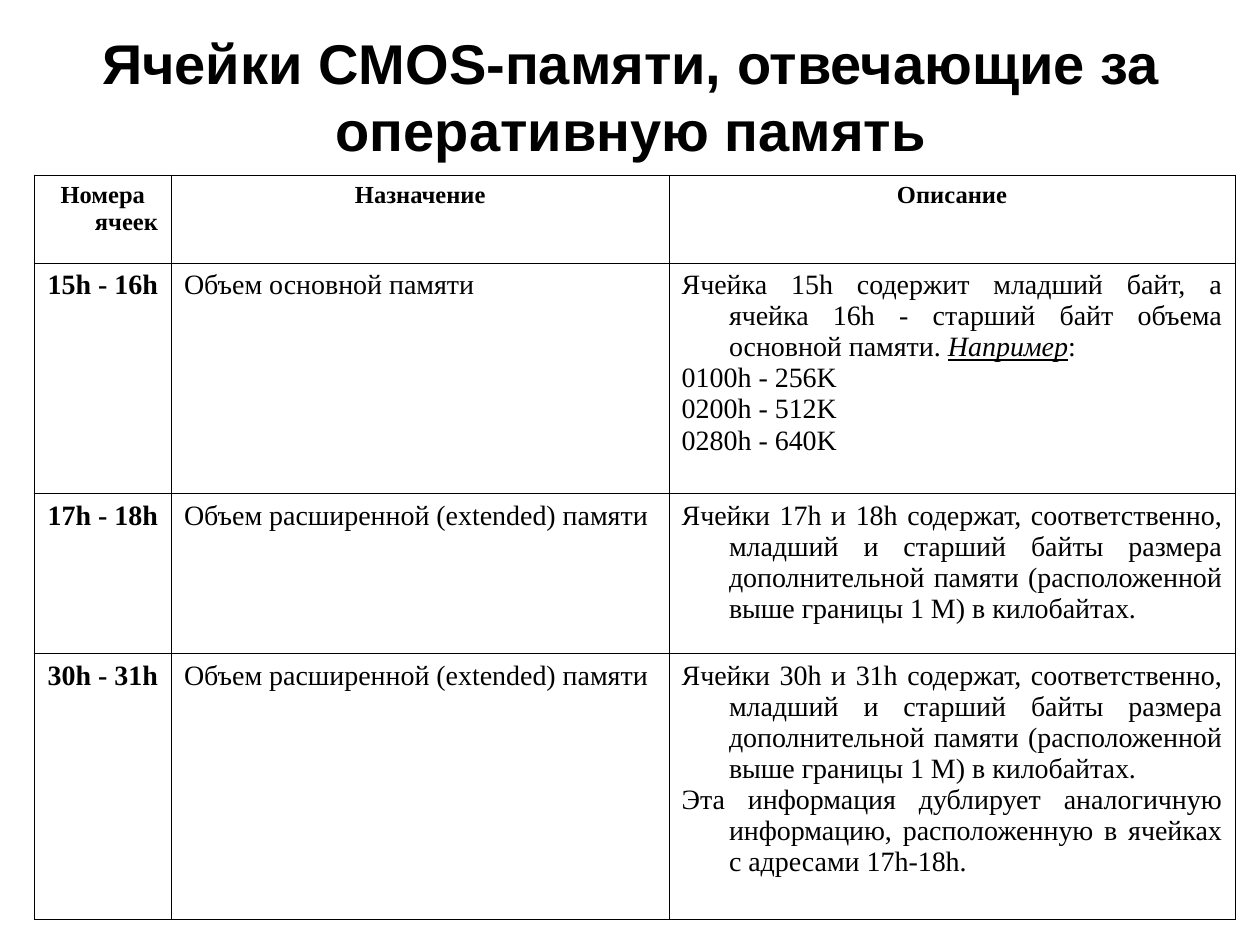
"""Build a slide with a table of the CMOS cells that describe memory."""
import dataclasses
import typing

import lxml.etree
import pptx
import pptx.dml.color
import pptx.enum.text
import pptx.oxml.ns
import pptx.util

Pt = pptx.util.Pt
Align = pptx.enum.text.PP_ALIGN


@dataclasses.dataclass(frozen=True)
class Theme:
    ink: str = "000000"
    title_font: str = "Arial"
    table_font: str = "Times New Roman"
    title_size: float = 32
    header_size: float = 14
    body_size: float = 16
    border_width: float = 0.45
    hanging_indent: float = 27


class Span(typing.NamedTuple):
    text: str
    emphasis: bool = False


class MemoryCell(typing.NamedTuple):
    numbers: str
    purpose: str
    description: list[list[Span]]


THEME = Theme()
TITLE = "Ячейки CMOS-памяти, отвечающие за оперативную память"
HEADERS = ["Номера ячеек", "Назначение", "Описание"]
COLUMN_WIDTHS = [78.5, 284.4, 323.3]
ROW_HEIGHTS = [50.4, 131.8, 91.4, 151.9]


def extended_description(first: str, second: str) -> list[Span]:
    return [Span(
        f"Ячейки {first} и {second} содержат, соответственно, младший и старший "
        "байты размера дополнительной памяти (расположенной выше границы 1 М) "
        "в килобайтах."
    )]


MEMORY_CELLS = [
    MemoryCell("15h - 16h", "Объем основной памяти", [
        [
            Span("Ячейка 15h содержит младший байт, а ячейка 16h - старший байт "
                 "объема основной памяти. "),
            Span("Например", emphasis=True),
            Span(":"),
        ],
        [Span("0100h - 256K")],
        [Span("0200h - 512K")],
        [Span("0280h - 640K")],
    ]),
    MemoryCell("17h - 18h", "Объем расширенной (extended) памяти", [
        extended_description("17h", "18h"),
    ]),
    MemoryCell("30h - 31h", "Объем расширенной (extended) памяти", [
        extended_description("30h", "31h"),
        [Span("Эта информация дублирует аналогичную информацию, расположенную "
              "в ячейках с адресами 17h-18h.")],
    ]),
]


def set_font(paragraph, name: str, size: float, bold: bool) -> None:
    font = paragraph.font
    font.name, font.size, font.bold = name, Pt(size), bold
    font.color.rgb = pptx.dml.color.RGBColor.from_string(THEME.ink)


def draw_borders(cell) -> None:
    properties = cell._tc.get_or_add_tcPr()
    qualified = pptx.oxml.ns.qn
    for side in ("lnL", "lnR", "lnT", "lnB"):
        line = lxml.etree.SubElement(
            properties, qualified(f"a:{side}"), w=str(Pt(THEME.border_width)))
        fill = lxml.etree.SubElement(line, qualified("a:solidFill"))
        lxml.etree.SubElement(fill, qualified("a:srgbClr"), val=THEME.ink)


def fill_cell(cell, paragraphs: list[list[Span]], size: float,
              bold: bool, alignment: Align) -> None:
    draw_borders(cell)
    cell.fill.background()
    frame = cell.text_frame
    for index, spans in enumerate(paragraphs):
        paragraph = frame.add_paragraph() if index else frame.paragraphs[0]
        paragraph.alignment = alignment
        properties = paragraph._p.get_or_add_pPr()
        properties.set("marL", str(Pt(THEME.hanging_indent)))
        properties.set("indent", str(-Pt(THEME.hanging_indent)))
        set_font(paragraph, THEME.table_font, size, bold)
        for span in spans:
            run = paragraph.add_run()
            run.text = span.text
            if span.emphasis:
                run.font.italic = run.font.underline = True


def draw_title(slide) -> None:
    box = slide.shapes.add_textbox(Pt(36.7), Pt(9.4), Pt(648), Pt(90))
    frame = box.text_frame
    frame.word_wrap = True
    frame.vertical_anchor = pptx.enum.text.MSO_ANCHOR.MIDDLE
    paragraph = frame.paragraphs[0]
    paragraph.alignment = Align.CENTER
    set_font(paragraph, THEME.title_font, THEME.title_size, True)
    paragraph.add_run().text = TITLE


def draw_table(slide) -> None:
    table = slide.shapes.add_table(
        len(ROW_HEIGHTS), len(COLUMN_WIDTHS), Pt(19.5), Pt(100),
        Pt(sum(COLUMN_WIDTHS)), Pt(sum(ROW_HEIGHTS))).table
    table.first_row = table.horz_banding = False
    for column, width in zip(table.columns, COLUMN_WIDTHS):
        column.width = Pt(width)
    for row, height in zip(table.rows, ROW_HEIGHTS):
        row.height = Pt(height)
    for index, header in enumerate(HEADERS):
        fill_cell(table.cell(0, index), [[Span(header)]],
                  THEME.header_size, True, Align.CENTER)
    for index, memory in enumerate(MEMORY_CELLS, start=1):
        fill_cell(table.cell(index, 0), [[Span(memory.numbers)]],
                  THEME.body_size, True, Align.CENTER)
        fill_cell(table.cell(index, 1), [[Span(memory.purpose)]],
                  THEME.body_size, False, Align.JUSTIFY)
        fill_cell(table.cell(index, 2), memory.description,
                  THEME.body_size, False, Align.JUSTIFY)


def main() -> None:
    deck = pptx.Presentation()
    deck.slide_width, deck.slide_height = Pt(720), Pt(540)
    slide = deck.slides.add_slide(deck.slide_layouts[6])
    draw_title(slide)
    draw_table(slide)
    deck.save("out.pptx")


if __name__ == "__main__":
    main()
